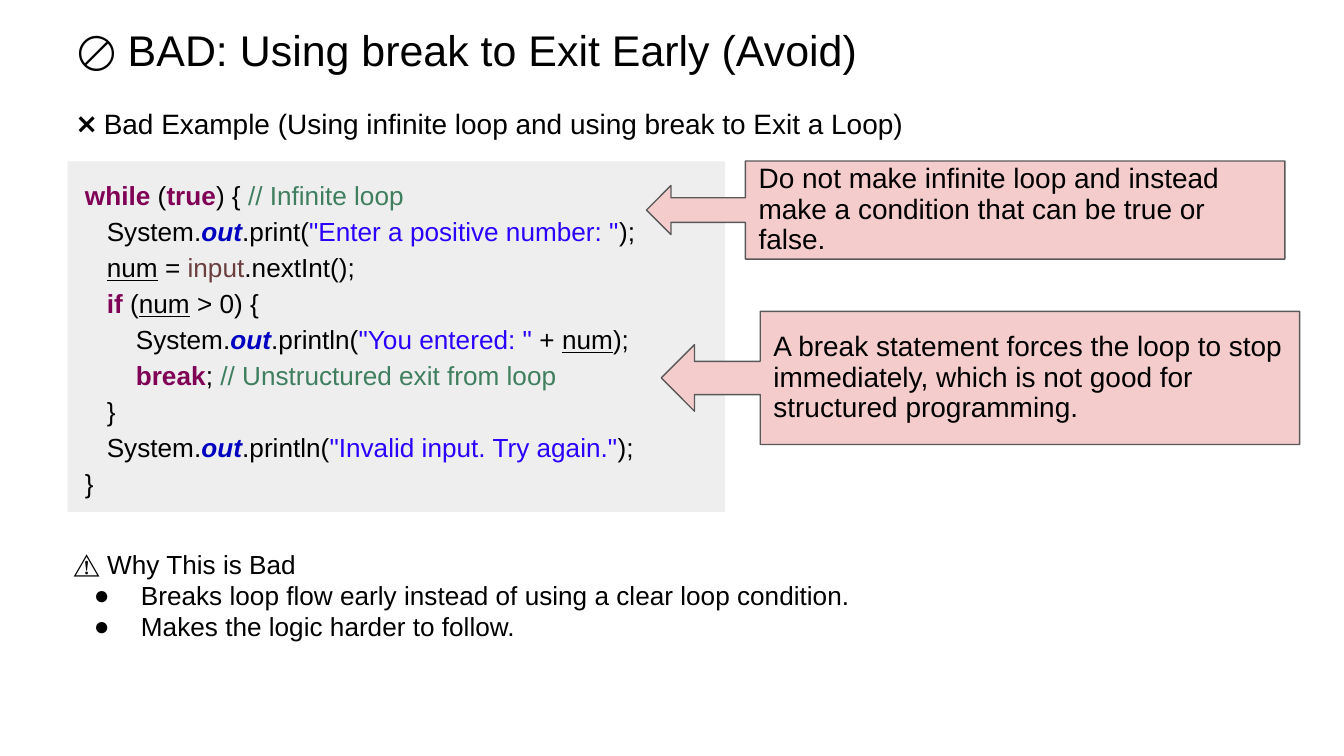
"""Build a slide on why leaving a loop early with break is bad practice."""
from lxml.etree import SubElement
from pptx import Presentation
from pptx.dml.color import RGBColor
from pptx.enum.shapes import MSO_SHAPE
from pptx.enum.text import MSO_ANCHOR, PP_ALIGN
from pptx.oxml.ns import qn
from pptx.util import Inches, Pt

deck = Presentation()
deck.slide_width, deck.slide_height = Inches(10), Inches(10 * 9 / 16)
slide = deck.slides.add_slide(deck.slide_layouts[6])


def share(left, top, width, height):
    """Turn percentages of the slide into lengths."""
    across, down = deck.slide_width / 100, deck.slide_height / 100
    return int(left * across), int(top * down), int(width * across), int(height * down)


def write(frame, lines, size, spacing, margins=(0.1, 0.1), anchor=MSO_ANCHOR.TOP):
    """Fill a text frame with lines of (style, words) spans."""
    side, edge = (Inches(margin) for margin in margins)
    frame_format = {
        "word_wrap": True, "vertical_anchor": anchor,
        "margin_left": side, "margin_right": side,
        "margin_top": edge, "margin_bottom": edge,
    }
    for name, value in frame_format.items():
        setattr(frame, name, value)
    for number, spans in enumerate(lines):
        paragraph = frame.add_paragraph() if number else frame.paragraphs[0]
        for name, value in {"alignment": PP_ALIGN.LEFT, **spacing}.items():
            setattr(paragraph, name, value)
        for style, words in spans:
            run = paragraph.add_run()
            run.text = words
            color, emphasis = STYLES[style]
            for name, value in {"name": "Arial", "size": Pt(size), **emphasis}.items():
                setattr(run.font, name, value)
            run.font.color.rgb = RGBColor.from_string(color)


STYLES = {
    "plain": ("000000", {}),
    "keyword": ("7F0055", {"bold": True}),
    "comment": ("3F7F5F", {}),
    "field": ("0000C0", {"bold": True, "italic": True}),
    "string": ("2A00FF", {}),
    "variable": ("000000", {"underline": True}),
    "scanner": ("6A3E3E", {}),
}
TIGHT = {"line_spacing": 0.9, "space_before": Pt(6)}

headings = [
    ("🚫 BAD: Using break to Exit Early (Avoid)", 23, (5.05, 1.65, 86.2, 10.5),
     {"line_spacing": 0.9}, MSO_ANCHOR.MIDDLE),
    ("❌ Bad Example (Using infinite loop and using break to Exit a Loop)", 15,
     (5.05, 13.87, 95, 8.53), TIGHT, MSO_ANCHOR.TOP),
]
for words, size, area, spacing, anchor in headings:
    heading = slide.shapes.add_textbox(*share(*area))
    write(heading.text_frame, [[("plain", words)]], size, spacing, (0.07, 0.04), anchor)

code = [
    (0, [("keyword", "while"), ("plain", " ("), ("keyword", "true"), ("plain", ") { "),
         ("comment", "// Infinite loop")]),
    (3, [("plain", "System."), ("field", "out"), ("plain", ".print("),
         ("string", '"Enter a positive number: "'), ("plain", ");")]),
    (3, [("variable", "num"), ("plain", " = "), ("scanner", "input"),
         ("plain", ".nextInt();")]),
    (3, [("keyword", "if"), ("plain", " ("), ("variable", "num"), ("plain", " > 0) {")]),
    (7, [("plain", "System."), ("field", "out"), ("plain", ".println("),
         ("string", '"You entered: "'), ("plain", " + "), ("variable", "num"),
         ("plain", ");")]),
    (7, [("keyword", "break"), ("plain", "; "),
         ("comment", "// Unstructured exit from loop")]),
    (3, [("plain", "}")]),
    (3, [("plain", "System."), ("field", "out"), ("plain", ".println("),
         ("string", '"Invalid input. Try again."'), ("plain", ");")]),
    (0, [("plain", "}")]),
]
listing = slide.shapes.add_shape(MSO_SHAPE.RECTANGLE, *share(5.04, 21.33, 48.9, 46.4))
listing.shadow.inherit = False
listing.fill.solid()
listing.fill.fore_color.rgb = RGBColor.from_string("EEEEEE")
listing.line.fill.background()
write(listing.text_frame, [spans for _, spans in code], 14, {"line_spacing": 1.15})
for paragraph, (depth, _) in zip(listing.text_frame.paragraphs, code):
    indent = Inches(0.03) + depth * Pt(3.89)
    paragraph._p.get_or_add_pPr().set("marL", str(indent))


def add_callout(words, area):
    """Add a left arrow callout that holds a warning."""
    callout = slide.shapes.add_shape(MSO_SHAPE.LEFT_ARROW_CALLOUT, *share(*area))
    for number, proportion in enumerate((0.25, 0.25, 0.25, 0.845)):
        callout.adjustments[number] = proportion
    callout.shadow.inherit = False
    callout.fill.solid()
    callout.fill.fore_color.rgb = RGBColor.from_string("F4CCCC")
    callout.line.color.rgb = RGBColor.from_string("595959")
    callout.line.width = Pt(0.75)
    write(callout.text_frame, [[("plain", words)]], 15, TIGHT, anchor=MSO_ANCHOR.MIDDLE)


add_callout("A break statement forces the loop to stop immediately, which is not good for "
            "structured programming.", (49.2, 41.2, 47.5, 17.6))

reasons = slide.shapes.add_textbox(*share(4.5, 70.72, 72.5, 16.18))
write(reasons.text_frame, [[("plain", words)] for words in (
    "⚠ Why This is Bad",
    "Breaks loop flow early instead of using a clear loop condition.",
    "Makes the logic harder to follow.",
)], 14, {"line_spacing": 1.0})
for paragraph in reasons.text_frame.paragraphs[1:]:
    properties = paragraph._p.get_or_add_pPr()
    for name, length in {"marL": 0.5, "indent": -0.35}.items():
        properties.set(name, str(Inches(length)))
    bullet_color = SubElement(properties, qn("a:buClr"))
    SubElement(bullet_color, qn("a:srgbClr")).set("val", "000000")
    bullet_format = {"buSzPts": ("val", "1400"), "buFont": ("typeface", "Arial"),
                     "buChar": ("char", "●")}
    for tag, (name, value) in bullet_format.items():
        SubElement(properties, qn(f"a:{tag}")).set(name, value)

add_callout("Do not make infinite loop and instead make a condition that can be true or "
            "false.", (48.1, 21.3, 47.5, 12.98))

deck.save("out.pptx")
